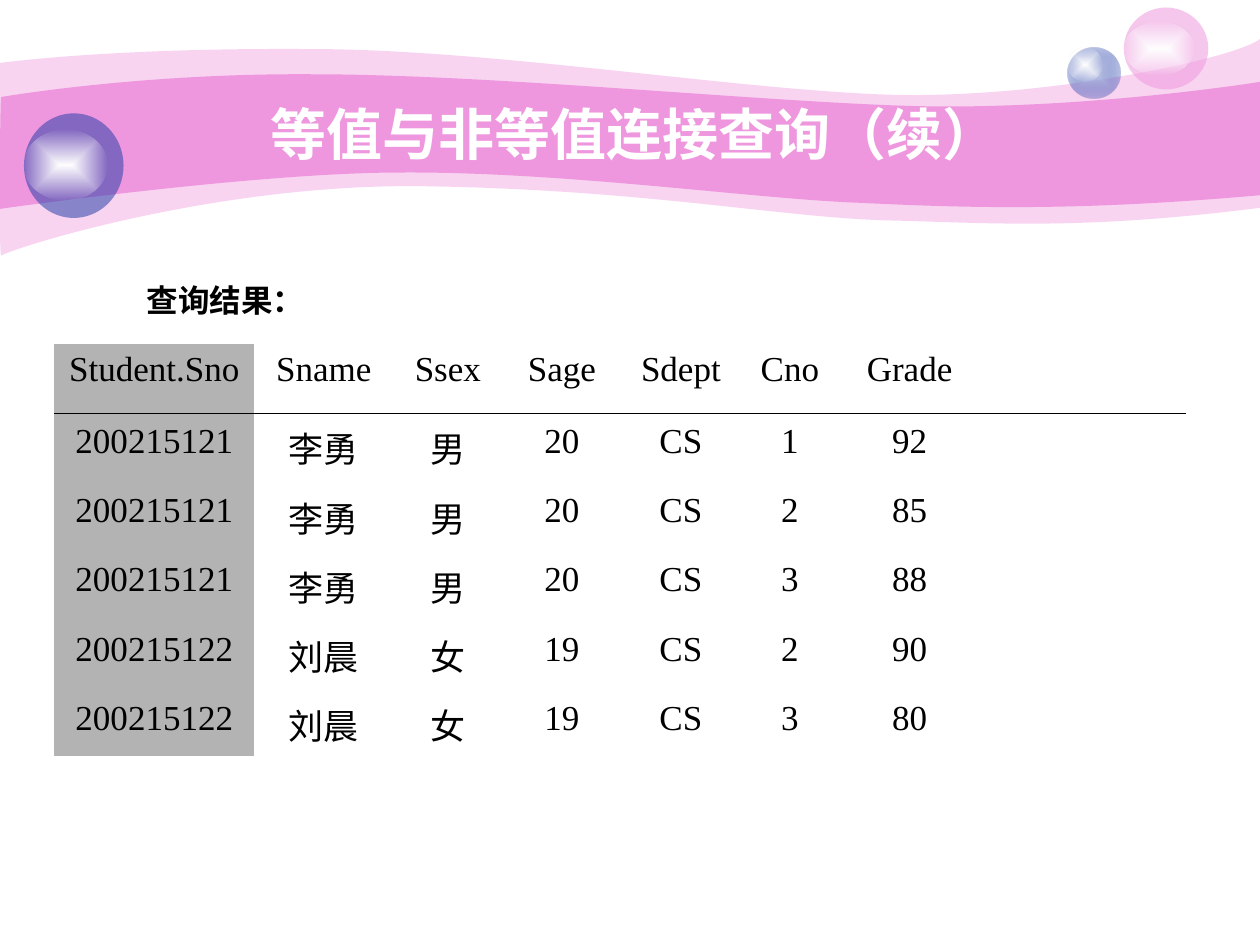
import pptx
import pptx.dml.color
import pptx.enum.shapes
import pptx.enum.text
import pptx.oxml
import pptx.oxml.ns
import pptx.util
from pptx.util import Inches

RGBColor = pptx.dml.color.RGBColor
PINK = RGBColor(0xEF, 0x97, 0xDE)
BLUE = RGBColor(0x23, 0x3D, 0xA9)
PALE_BLUE = RGBColor(0xC7, 0xCE, 0xE9)
WHITE = RGBColor(0xFF, 0xFF, 0xFF)
BLACK = RGBColor(0x00, 0x00, 0x00)
GRAY = RGBColor(0xB3, 0xB3, 0xB3)
SERIF = "Times New Roman"
NO_STYLE_NO_GRID = "{2D5ABB26-0587-4C30-8999-92F81FD0307C}"

OUTER_WAVE = [
    [(0, 0.5), (0.24, 0.47), (1.07, 0.38), (2.47, 0.39), (3.86, 0.39), (5.75, 0.7),
     (6.99, 0.75), (8.22, 0.8), (9.8, 0.47), (10, 0.31)],
    [(10, 1.65), (8.58, 1.83), (7.87, 1.77), (7.05, 1.75), (6.22, 1.73), (5.15, 1.51),
     (3.43, 1.48), (1.72, 1.44), (0.04, 1.99), (0.01, 2.03), (-0.01, 2.08), (0, 0.75), (0, 0.5)],
]
INNER_WAVE = [
    [(0.01, 0.77), (0.02, 0.77), (1.1, 0.58), (2.48, 0.59), (3.86, 0.59), (5.95, 0.8),
     (7.18, 0.84), (8.41, 0.88), (9.76, 0.69), (10, 0.65)],
    [(10, 1.55), (8.53, 1.68), (7.65, 1.65), (6.82, 1.61), (5.99, 1.58), (4.47, 1.36),
     (3.17, 1.37), (2.03, 1.37), (-0.02, 1.66), (-0.01, 1.66), (0, 1.66), (0, 0.77), (0.01, 0.77)],
]
RESULT_ROWS = [
    ("Student.Sno", "Sname", "Ssex", "Sage", "Sdept", "Cno", "Grade"),
    ("200215121", "李勇", "男", "20", "CS", "1", "92"),
    ("200215121", "李勇", "男", "20", "CS", "2", "85"),
    ("200215121", "李勇", "男", "20", "CS", "3", "88"),
    ("200215122", "刘晨", "女", "19", "CS", "2", "90"),
    ("200215122", "刘晨", "女", "19", "CS", "3", "80"),
]
COLUMN_WIDTHS = [1.59, 1.1, 0.87, 0.94, 0.95, 0.78, 1.12]
ROW_HEIGHTS = [0.57, 0.55, 0.55, 0.55, 0.55, 0.47]


def write_text(frame, text, size=20, font=SERIF, color=BLACK, bold=False, hanging=0.38):
    paragraph = frame.paragraphs[0]
    paragraph.alignment = pptx.enum.text.PP_ALIGN.CENTER
    properties = paragraph._p.get_or_add_pPr()
    properties.set("marL", str(Inches(hanging)))
    properties.set("indent", str(-Inches(hanging)))
    run = paragraph.add_run()
    run.text = text
    run.font.size = pptx.util.Pt(size)
    run.font.name = font
    run.font.color.rgb = color
    run.font.bold = bold


def set_opacity(color_parent, percent):
    color = next(color_parent.iter(pptx.oxml.ns.qn("a:srgbClr")))
    alpha = color.makeelement(pptx.oxml.ns.qn("a:alpha"), {"val": str(percent * 1000)})
    color.append(alpha)


def paint_solid(shape, color, opacity=100):
    shape.shadow.inherit = False
    shape.line.fill.background()
    shape.fill.solid()
    shape.fill.fore_color.rgb = color
    if opacity < 100:
        set_opacity(shape._element.spPr, opacity)


def paint_glow(shape, center, edge, edge_opacity):
    shape.shadow.inherit = False
    shape.line.fill.background()
    shape.fill.gradient()
    inner, outer = shape.fill.gradient_stops
    inner.color.rgb = center
    outer.color.rgb = edge
    gradient = shape._element.spPr.find(pptx.oxml.ns.qn("a:gradFill"))
    set_opacity(gradient.findall(".//" + pptx.oxml.ns.qn("a:gs"))[1], edge_opacity)
    gradient.replace(
        gradient.find(pptx.oxml.ns.qn("a:lin")),
        pptx.oxml.parse_xml(
            f'<a:path {pptx.oxml.ns.nsdecls("a")} path="rect">'
            '<a:fillToRect l="50000" t="50000" r="50000" b="50000"/></a:path>'
        ),
    )


def bend(segments):
    for i in range(0, len(segments), 3):
        first, second, end = segments[i:i + 3]
        curve = first.makeelement(pptx.oxml.ns.qn("a:cubicBezTo"), {})
        first.addprevious(curve)
        for segment in (first, second, end):
            curve.append(segment[0])
            segment.getparent().remove(segment)


def add_wave(slide, upper_edge, lower_edge, opacity):
    outline = [(Inches(x), Inches(y)) for x, y in upper_edge + lower_edge]
    builder = slide.shapes.build_freeform(*outline[0])
    builder.add_line_segments(outline[1:], close=True)
    wave = builder.convert_to_shape()
    segments = list(wave._element.iter(pptx.oxml.ns.qn("a:lnTo")))
    bend(segments[:len(upper_edge) - 1])
    bend(segments[len(upper_edge):])
    paint_solid(wave, PINK, opacity)


def add_bubble(slide, box, shine_box):
    group = slide.shapes.add_group_shape()
    oval = pptx.enum.shapes.MSO_SHAPE.OVAL
    ball, shine = [
        group.shapes.add_shape(oval, *map(Inches, part)) for part in (box, shine_box)
    ]
    paint_glow(shine, WHITE, WHITE, 0)
    return ball


def add_backdrop(slide):
    add_wave(slide, *OUTER_WAVE, opacity=41)
    add_wave(slide, *INNER_WAVE, opacity=100)
    small = add_bubble(slide, (8.47, 0.38, 0.42, 0.4), (8.47, 0.38, 0.28, 0.27))
    paint_glow(small, PALE_BLUE, BLUE, 31)
    pink = add_bubble(slide, (8.92, 0.06, 0.67, 0.65), (8.92, 0.17, 0.56, 0.43))
    paint_solid(pink, PINK, 53)
    large = add_bubble(slide, (0.19, 0.9, 0.79, 0.83), (0.19, 1.03, 0.66, 0.56))
    paint_solid(large, BLUE, 53)


def add_title(slide, left, top, width, height):
    title = slide.shapes.title
    title.left, title.top, title.width, title.height = map(Inches, (left, top, width, height))
    title.text_frame.vertical_anchor = pptx.enum.text.MSO_ANCHOR.MIDDLE
    write_text(title.text_frame, "等值与非等值连接查询（续）",
               size=32, font="Arial", color=WHITE, bold=True, hanging=0)
    slide.shapes._spTree.append(title._element)


def add_results(slide, left, top):
    frame = slide.shapes.add_table(
        len(RESULT_ROWS), len(COLUMN_WIDTHS), Inches(left), Inches(top),
        Inches(sum(COLUMN_WIDTHS)), Inches(sum(ROW_HEIGHTS)))
    table = frame.table
    table.first_row = table.horz_banding = False
    table._tbl.tblPr.find(pptx.oxml.ns.qn("a:tableStyleId")).text = NO_STYLE_NO_GRID
    for column, width in zip(table.columns, COLUMN_WIDTHS):
        column.width = Inches(width)
    for row, height, values in zip(table.rows, ROW_HEIGHTS, RESULT_ROWS):
        row.height = Inches(height)
        for cell, value in zip(row.cells, values):
            cell.fill.background()
            write_text(cell.text_frame, value)
        row.cells[0].fill.solid()
        row.cells[0].fill.fore_color.rgb = GRAY


def add_caption(slide, left, top, width, height):
    caption = slide.shapes.add_textbox(*map(Inches, (left, top, width, height)))
    caption.text_frame.word_wrap = False
    caption.text_frame.auto_size = pptx.enum.text.MSO_AUTO_SIZE.SHAPE_TO_FIT_TEXT
    write_text(caption.text_frame, "查询结果：", size=18, bold=True)


def add_header_rule(slide, left, top, width):
    rule = slide.shapes.add_connector(
        pptx.enum.shapes.MSO_CONNECTOR.STRAIGHT,
        Inches(left), Inches(top), Inches(left + width), Inches(top))
    rule.line.color.rgb = BLACK
    rule.line.width = pptx.util.Pt(0.75)
    properties = rule._element.spPr
    properties.append(properties.makeelement(pptx.oxml.ns.qn("a:effectLst"), {}))


def main():
    presentation = pptx.Presentation()
    presentation.slide_width = Inches(10)
    presentation.slide_height = Inches(7.5)
    slide = presentation.slides.add_slide(presentation.slide_layouts[5])
    add_backdrop(slide)
    add_title(slide, 1, 0.75, 8.08, 0.62)
    add_results(slide, 0.43, 2.73)
    add_caption(slide, 0.69, 2.18, 2.2, 0.4)
    add_header_rule(slide, 0.43, 3.28, 8.98)
    presentation.save("out.pptx")


if __name__ == "__main__":
    main()
